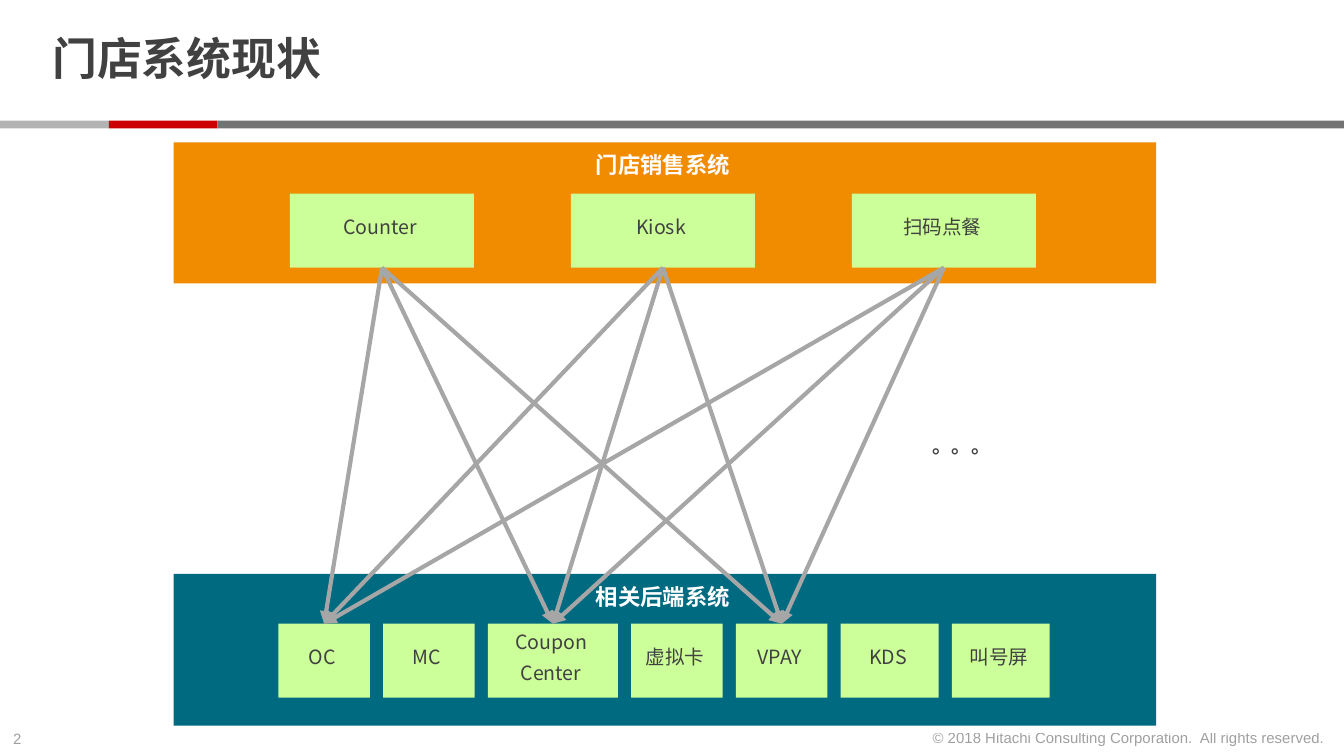
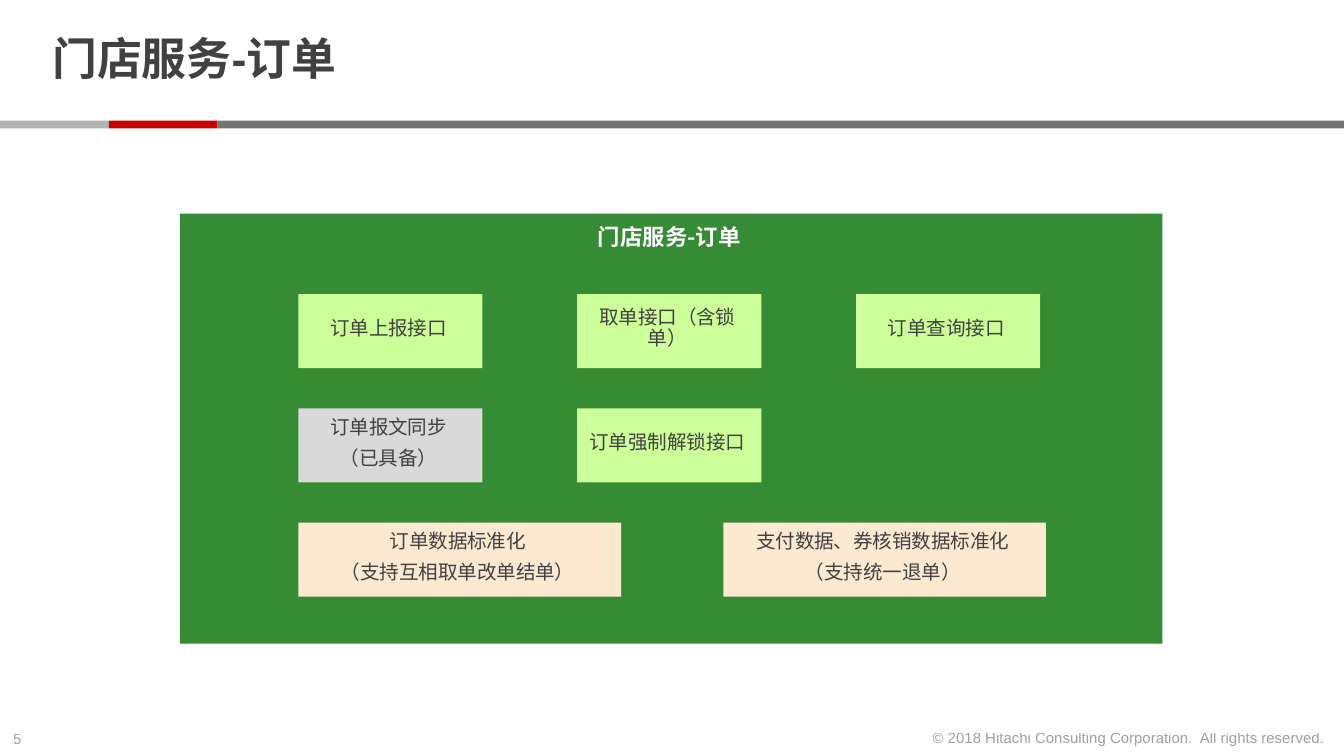
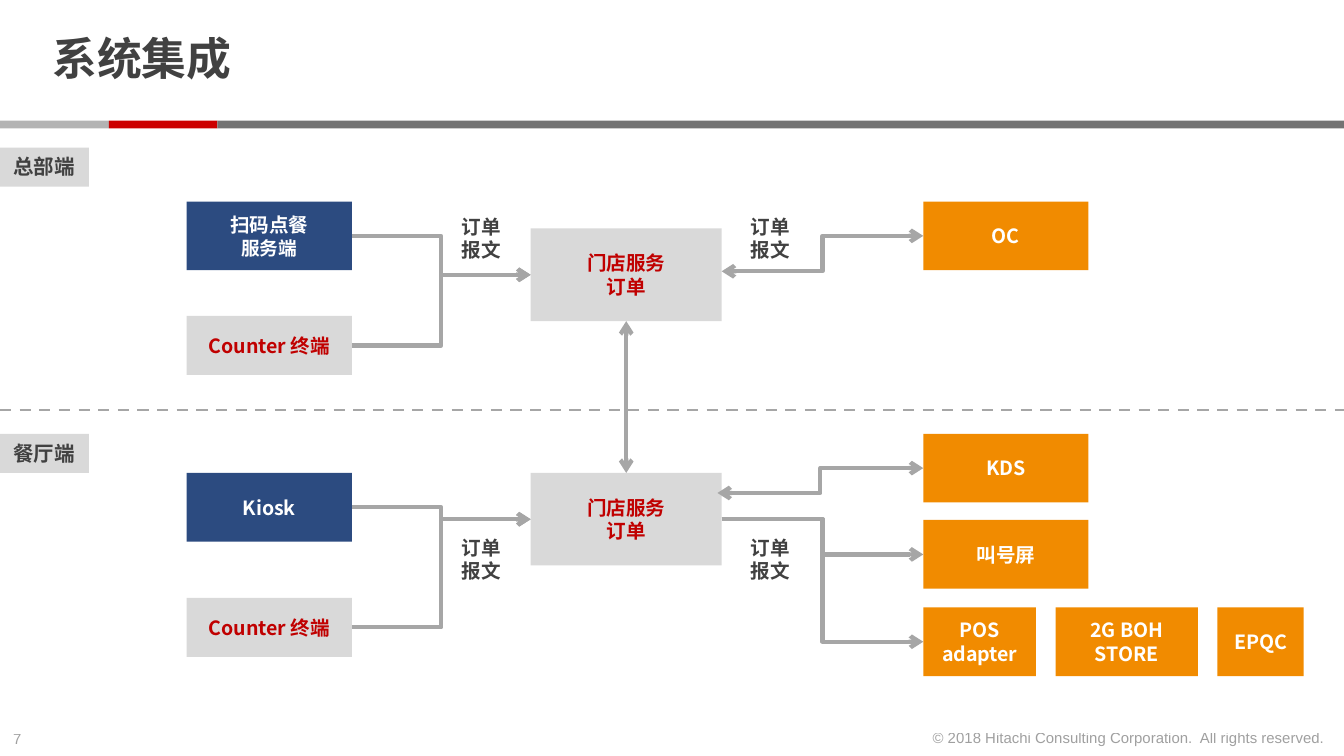
from itertools import accumulate

from lxml import etree
from pptx import Presentation
from pptx import util as u
from pptx.dml.color import RGBColor
from pptx.enum import dml, shapes, text
from pptx.oxml.ns import qn

COLORS = {
    "text": "414141", "white": "FFFFFF", "red": "C00000", "line": "A6A6A6",
    "band_light": "B3B3B3", "band_red": "CC0000", "band_dark": "737373",
    "orange": "F18B00", "teal": "006A80", "green": "368B35", "lime": "CCFF99",
    "peach": "FDE8D2", "gray": "D9D9D9", "blue": "2C4B80",
}
LATIN, CJK = "Arial", "Noto Sans CJK SC"
WIDTH, HEIGHT = 25.4, 14.29
TOP, LEFT, BOTTOM, RIGHT = range(4)
CENTER = text.PP_ALIGN.CENTER
MIDDLE = text.MSO_ANCHOR.MIDDLE
DEFAULT_INSETS = (0.25, 0.13, 0.25, 0.13)
BOX_INSETS = (0.18, 0, 0.25, 0.08)
PANEL_INSETS = (0.18, 0.23, 0.25, 0.08)
BOX_W, BOX_H = 3.48, 1.4
PANEL_W = 18.57


def rgb(name):
    return RGBColor.from_string(COLORS[name])


def write(sp, words, size, color="text", font=CJK, bold=False, align=None,
          anchor=text.MSO_ANCHOR.TOP, insets=DEFAULT_INSETS, wrap=True,
          spacing=None, gap=0):
    """Fill a shape with text; gap is the space in points between paragraphs."""
    tf = sp.text_frame
    tf.text = words
    tf.word_wrap = wrap
    tf.vertical_anchor = anchor
    tf.margin_left, tf.margin_top, tf.margin_right, tf.margin_bottom = map(u.Cm, insets)
    for i, p in enumerate(tf.paragraphs):
        p.alignment = align
        if spacing:
            p.line_spacing = spacing
        if gap and i:
            p.space_before = u.Pt(gap)
        for r in p.runs:
            r.font.name, r.font.size, r.font.bold = font, u.Pt(size), bold
            r.font.color.rgb = rgb(color)
    return sp


def rect(s, x, y, w, h, fill):
    sp = s.shapes.add_shape(shapes.MSO_SHAPE.RECTANGLE, *map(u.Cm, (x, y, w, h)))
    sp.shadow.inherit = False
    sp.fill.solid()
    sp.fill.fore_color.rgb = rgb(fill)
    sp.line.fill.background()
    return sp


def label(s, x, y, w, h, words, size, **style):
    sp = s.shapes.add_textbox(*map(u.Cm, (x, y, w, h)))
    return write(sp, words, size, font=LATIN, **style)


def link(s, start, end, kind="STRAIGHT", width=2.25, head=None, tail=None, dash=None):
    """Join two ends, each either a point (x, y) in cm or a (shape, side) pair."""
    points = [(0, 0) if hasattr(e[0], "text_frame") else e for e in (start, end)]
    cxn = s.shapes.add_connector(getattr(shapes.MSO_CONNECTOR, kind),
                                 *(u.Cm(v) for point in points for v in point))
    if hasattr(start[0], "text_frame"):
        cxn.begin_connect(*start)
    if hasattr(end[0], "text_frame"):
        cxn.end_connect(*end)
    cxn.line.color.rgb = rgb("line")
    cxn.line.width = u.Pt(width)
    if dash:
        cxn.line.dash_style = dash
    ln = cxn.line._get_or_add_ln()
    for tag, arrow in (("a:headEnd", head), ("a:tailEnd", tail)):
        if arrow:
            etree.SubElement(ln, qn(tag)).set("type", arrow)
    etree.SubElement(cxn._element.spPr, qn("a:effectLst"))
    return cxn


def fade(sp):
    """Make the text half transparent."""
    for color in sp._element.iter(qn("a:srgbClr")):
        etree.SubElement(color, qn("a:alpha")).set("val", "50000")


def base_slide(prs, title, number):
    s = prs.slides.add_slide(prs.slide_layouts[6])
    edges = (0, 2.06, 4.11, WIDTH)
    for x, end, fill in zip(edges, edges[1:], ("band_light", "band_red", "band_dark")):
        rect(s, x, 2.28, end - x, 0.15, fill)
    fade(label(s, 0, 13.66, 0.87, 0.6, number, 8, wrap=False))
    fade(label(s, 17.26, 13.65, 8.03, 0.6,
               "© 2018 Hitachi Consulting Corporation.  All rights reserved.", 8,
               wrap=False, align=text.PP_ALIGN.RIGHT))
    label(s, 0.74, 0.15, 19.58, 2.03, title, 24, bold=True, anchor=MIDDLE,
          insets=(0.25, 0, 0.25, 0), spacing=0.85)
    return s


def panel(s, x, y, h, fill, heading):
    write(rect(s, x, y, PANEL_W, h, fill), heading, 12, "white", bold=True,
          align=CENTER, insets=PANEL_INSETS, spacing=0.9)


def module(s, x, y, words, w=BOX_W, fill="lime"):
    return write(rect(s, x, y, w, BOX_H, fill), words, 10.5, align=CENTER,
                 anchor=MIDDLE, insets=BOX_INSETS, spacing=0.9, gap=5.25)


def sales_panel(s, x, y):
    panel(s, x, y, 2.67, "orange", "门店销售系统")
    return [module(s, x + 2.2 + i * 5.31, y + 0.97, name)
            for i, name in enumerate(("Counter", "Kiosk", "扫码点餐"))]


def backend_panel(s, x, y):
    panel(s, x, y, 2.87, "teal", "相关后端系统")
    names = ("OC", "MC", "Coupon\nCenter", "虚拟卡", "VPAY", "KDS", "叫号屏")
    widths = (1.73, 1.73, 2.46, 1.73, 1.73, 1.85, 1.85)
    lefts = accumulate((w + 0.25 for w in widths), initial=x + 1.98)
    return [module(s, left, y + 0.94, name, w)
            for left, name, w in zip(lefts, names, widths)]


def current_state(prs):
    s = base_slide(prs, "门店系统现状", "2")
    sources = sales_panel(s, 3.28, 2.69)
    targets = backend_panel(s, 3.28, 10.85)
    for target in targets[0:5:2]:
        for source in sources:
            link(s, (source, BOTTOM), (target, TOP), tail="triangle")
    label(s, 17.37, 8.08, 1.55, 0.71, "。。。", 10.5, bold=True)


def order_panel(s, x, y):
    panel(s, x, y, 8.13, "green", "门店服务-订单")
    left, top, row_step = x + 2.24, y + 1.52, 2.16
    rows = (
        (5.27, BOX_W, (("订单上报接口", "lime"), ("取单接口（含锁单）", "lime"),
                       ("订单查询接口", "lime"))),
        (5.27, BOX_W, (("订单报文同步\n（已具备）", "gray"), ("订单强制解锁接口", "lime"))),
        (8.03, 6.1, (("订单数据标准化\n（支持互相取单改单结单）", "peach"),
                     ("支付数据、券核销数据标准化\n（支持统一退单）", "peach"))),
    )
    for i, (step, w, items) in enumerate(rows):
        for j, (words, fill) in enumerate(items):
            module(s, left + j * step, top + i * row_step, words, w, fill)


def order_service(prs):
    s = base_slide(prs, "门店服务-订单", "5")
    order_panel(s, 3.4, 4.04)


def node(s, x, y, w, h, fill, words):
    color = "red" if fill == "gray" else "white"
    return write(rect(s, x, y, w, h, fill), words, 10.5, color, bold=True,
                 align=CENTER, anchor=MIDDLE)


def zone(s, top, name, terminal, terminal_y, counter_y, service_y, label_y,
         reply, targets):
    """Draw one side of the integration; the first target is linked both ways."""
    write(rect(s, 0, top, 1.68, 0.74, "gray"), name, 11, bold=True, wrap=False)
    service = node(s, 10.03, top + service_y, 3.61, 1.75, "gray", "门店服务\n订单")
    source = node(s, 3.53, top + terminal_y, 3.12, 1.3, "blue", terminal)
    counter = node(s, 3.53, top + counter_y, 3.12, 1.12, "gray", "Counter 终端")
    for sp in (source, counter):
        link(s, (sp, RIGHT), (service, LEFT), "ELBOW", tail="arrow")
    for i, (y, w, words) in enumerate(targets):
        target = node(s, 17.45, top + y, w, 1.3, "orange", words)
        start = (service, RIGHT) if i else (reply[0], top + reply[1])
        link(s, start, (target, LEFT), "ELBOW",
             head=None if i else "arrow", tail="arrow")
    for x in (8.48, 13.94):
        label(s, x, top + label_y, 1.55, 1.14, "订单报文", 10.5, bold=True)
    return source, service


def integration(prs):
    s = base_slide(prs, "系统集成", "7")
    link(s, (0, 7.75), (WIDTH, 7.75), width=1.5, dash=dml.MSO_LINE.DASH)
    source, head_office = zone(
        s, 2.79, "总部端", "扫码点餐\n服务端", 1.02, 3.18, 1.53, 1.14,
        (13.64, 2.34), [(1.02, 3.12, "OC")])
    source.text_frame.paragraphs[1].runs[0].font.size = u.Pt(10)
    _, restaurant = zone(
        s, 8.2, "餐厅端", "Kiosk", 0.74, 3.1, 0.74, 1.8, (13.56, 1.12),
        [(0, 3.12, "KDS"), (1.63, 3.12, "叫号屏"), (3.28, 2.13, "POS\nadapter")])
    node(s, 19.95, 11.48, 2.69, 1.3, "orange", "2G BOH\nSTORE")
    node(s, 23.01, 11.48, 1.63, 1.3, "orange", "EPQC")
    link(s, (restaurant, TOP), (head_office, BOTTOM), head="arrow", tail="arrow")


def main():
    prs = Presentation()
    prs.slide_width, prs.slide_height = u.Cm(WIDTH), u.Cm(HEIGHT)
    current_state(prs)
    order_service(prs)
    integration(prs)
    prs.save("out.pptx")


if __name__ == "__main__":
    main()
